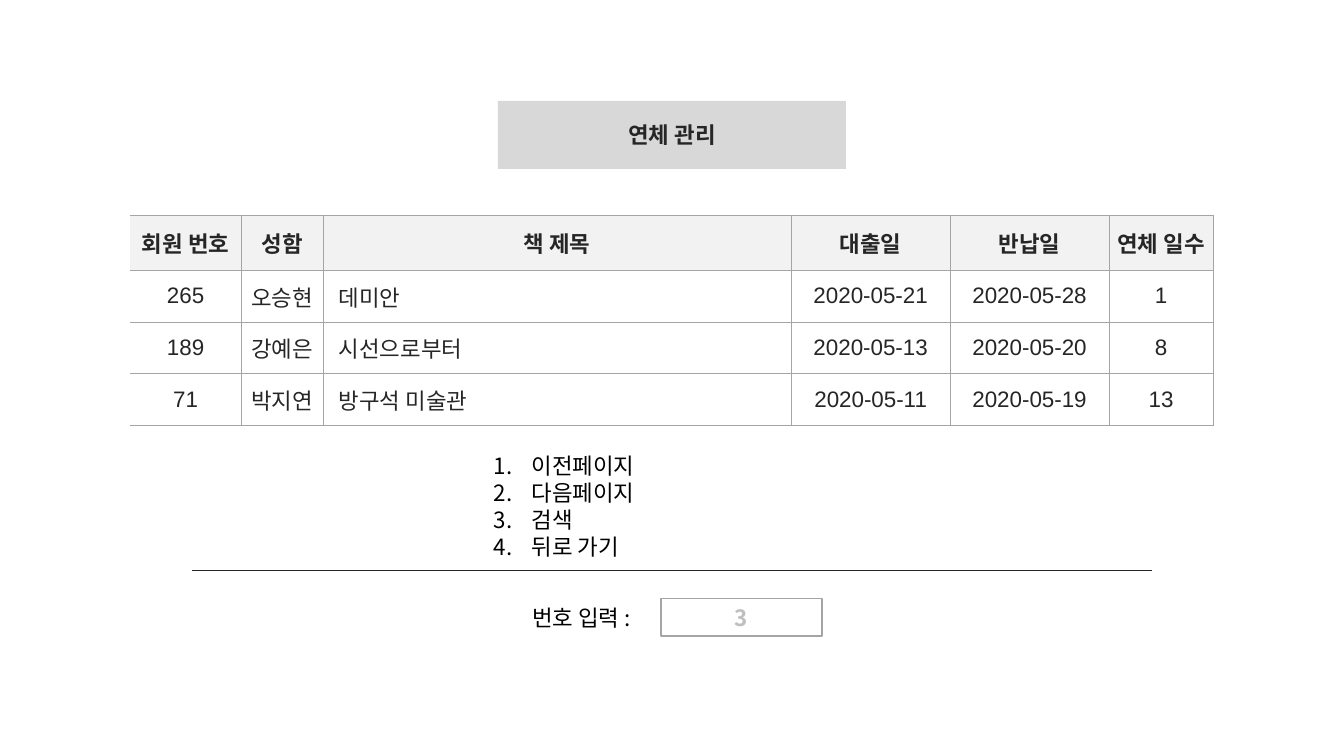
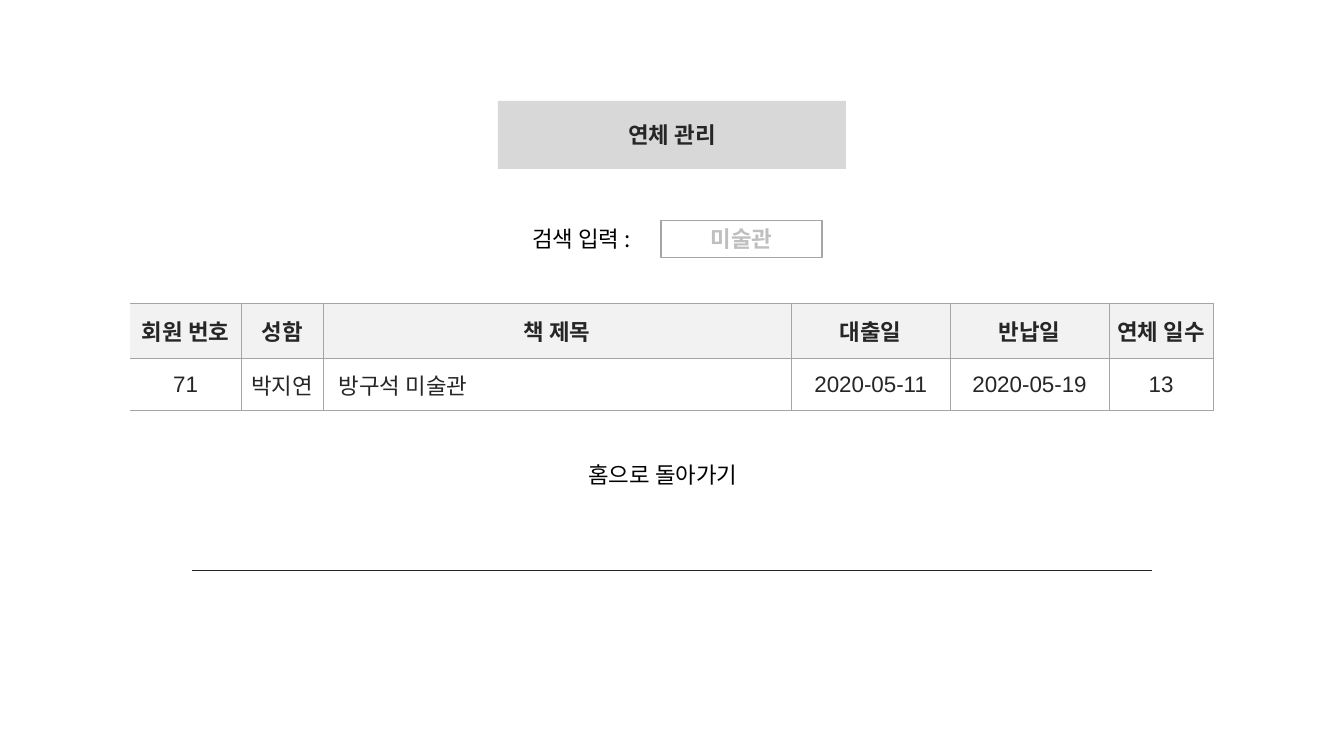
from typing import NamedTuple

from lxml.etree import SubElement
from pptx import Presentation
from pptx.dml.color import RGBColor
from pptx.enum.shapes import MSO_CONNECTOR as Connector, MSO_SHAPE as Preset
from pptx.enum.text import MSO_ANCHOR as Anchor, MSO_AUTO_SIZE as AutoSize, PP_ALIGN as Align
from pptx.oxml.ns import qn
from pptx.util import Pt

# Shared look
BLACK = RGBColor(0x00, 0x00, 0x00)
INK = RGBColor(0x26, 0x26, 0x26)
BORDER = RGBColor(0xA5, 0xA5, 0xA5)
HINT = RGBColor(0xBF, 0xBF, 0xBF)
BAND = RGBColor(0xD8, 0xD8, 0xD8)
HEADER = RGBColor(0xF2, 0xF2, 0xF2)
WHITE = RGBColor(0xFF, 0xFF, 0xFF)
TEXT_FONT, TABLE_FONT = "Noto Sans CJK KR", "Arial"
TEXT_SIZE = 16
PLAIN_TABLE_STYLE = "{2D5ABB26-0587-4C30-8999-92F81FD0307C}"
CONTENT_LAYOUT, TITLE_LAYOUT = 1, 5
LIST_INDENT = 27


class Box(NamedTuple):
    left: float
    top: float
    width: float
    height: float


class Column(NamedTuple):
    heading: str
    width: float
    align: Align = Align.CENTER
    inset: float = 0


class Loan(NamedTuple):
    member: str
    name: str
    book: str
    lent: str
    due: str
    overdue: str


SLIDE_WIDTH, SLIDE_HEIGHT = 960, 540
TITLE_BOX = Box(355.7, 72, 248.6, 48.6)
RULE_LEFT, RULE_TOP = 137.2, 407.4
TABLE_LEFT, HEADER_HEIGHT, ROW_HEIGHT = 92.9, 39.6, 36.8
FIELD_HEIGHT = 26.7

COLUMNS = (
    Column("회원 번호", 79.4),
    Column("성함", 58.5),
    Column("책 제목", 334.4, Align.LEFT, 11.3),
    Column("대출일", 113.5),
    Column("반납일", 113.5),
    Column("연체 일수", 74.5),
)
LOANS = (
    Loan("265", "오승현", "데미안", "2020-05-21", "2020-05-28", "1"),
    Loan("189", "강예은", "시선으로부터", "2020-05-13", "2020-05-20", "8"),
    Loan("71", "박지연", "방구석 미술관", "2020-05-11", "2020-05-19", "13"),
)
MENU = ("이전페이지", "다음페이지", "검색", "뒤로 가기")


def write(paragraph, text: str, *, color: RGBColor = BLACK, font: str = TEXT_FONT,
          bold: bool = False, align: Align = Align.LEFT) -> None:
    paragraph.alignment = align
    run = paragraph.add_run()
    run.text = text
    run.font.name, run.font.size = font, Pt(TEXT_SIZE)
    run.font.bold, run.font.color.rgb = bold, color
    if font == TEXT_FONT:
        SubElement(run.font._element, qn("a:ea"), typeface=font)


def place(shape, box: Box) -> None:
    shape.left, shape.top, shape.width, shape.height = map(Pt, box)


def paint(shape, color: RGBColor) -> None:
    shape.fill.solid()
    shape.fill.fore_color.rgb = color


def add_label(shapes, box: Box, text: str) -> None:
    label = shapes.add_textbox(*map(Pt, box))
    label.text_frame.word_wrap = True
    write(label.text_frame.paragraphs[0], text)


def add_field(slide, top: float, label: str, value: str) -> None:
    """A label with its entry box, grouped."""
    group = slide.shapes.add_group_shape()
    add_label(group.shapes, Box(373, top, 100, FIELD_HEIGHT), label)
    entry = group.shapes.add_shape(
        Preset.RECTANGLE, *map(Pt, Box(472.3, top, 114.8, FIELD_HEIGHT)))
    entry.shadow.inherit = False
    paint(entry, WHITE)
    entry.line.color.rgb, entry.line.width = BORDER, Pt(1)
    entry.text_frame.vertical_anchor = Anchor.MIDDLE
    write(entry.text_frame.paragraphs[0], value, color=HINT, bold=True, align=Align.CENTER)


def add_borders(cell, sides: tuple[str, ...]) -> None:
    properties = cell._tc.get_or_add_tcPr()
    for position, side in enumerate(sides):
        line = SubElement(properties, qn(f"a:{side}"), w=str(Pt(0.75)))
        fill = SubElement(line, qn("a:solidFill"))
        SubElement(fill, qn("a:srgbClr"), val=str(BORDER))
        properties.remove(line)
        properties.insert(position, line)  # borders come before the fill


def add_loan_table(slide, top: float, loans: tuple[Loan, ...]) -> None:
    rows = (tuple(column.heading for column in COLUMNS), *loans)
    width = sum(column.width for column in COLUMNS)
    height = HEADER_HEIGHT + ROW_HEIGHT * len(loans)
    table = slide.shapes.add_table(
        len(rows), len(COLUMNS), *map(Pt, Box(TABLE_LEFT, top, width, height))).table
    table.horz_banding = False
    table._tbl.tblPr.find(qn("a:tableStyleId")).text = PLAIN_TABLE_STYLE
    for index, column in enumerate(COLUMNS):
        table.columns[index].width = Pt(column.width)
    for row_index, values in enumerate(rows):
        heading = row_index == 0
        table.rows[row_index].height = Pt(HEADER_HEIGHT if heading else ROW_HEIGHT)
        for column_index, (column, text) in enumerate(zip(COLUMNS, values)):
            cell = table.cell(row_index, column_index)
            cell.margin_top = cell.margin_right = cell.margin_bottom = 0
            cell.margin_left = Pt(0 if heading else column.inset)
            cell.vertical_anchor = Anchor.MIDDLE
            paint(cell, HEADER if heading else WHITE)
            # The outer left edge stays open
            add_borders(cell, (("lnL",) if column_index else ()) + ("lnR", "lnT", "lnB"))
            write(cell.text_frame.paragraphs[0], text, color=INK, font=TABLE_FONT,
                  bold=heading, align=Align.CENTER if heading else column.align)


def fill_menu(placeholder, box: Box, items: tuple[str, ...]) -> None:
    place(placeholder, box)
    frame = placeholder.text_frame
    frame.auto_size = AutoSize.NONE
    for index, item in enumerate(items):
        paragraph = frame.add_paragraph() if index else frame.paragraphs[0]
        paragraph.space_before = Pt(0)
        properties = paragraph._p.get_or_add_pPr()
        properties.set("marL", str(Pt(LIST_INDENT)))
        properties.set("indent", str(Pt(-LIST_INDENT)))
        color = SubElement(properties, qn("a:buClr"))
        SubElement(color, qn("a:srgbClr"), val=str(BLACK))
        SubElement(properties, qn("a:buFont"), typeface=TEXT_FONT)
        SubElement(properties, qn("a:buAutoNum"), type="arabicPeriod")
        write(paragraph, item)


def add_overdue_slide(presentation, layout: int):
    """A slide with the title band and the rule."""
    slide = presentation.slides.add_slide(presentation.slide_layouts[layout])
    title = slide.shapes.title
    place(title, TITLE_BOX)
    paint(title, BAND)
    title.text_frame.auto_size = AutoSize.NONE
    title.text_frame.vertical_anchor = Anchor.MIDDLE
    write(title.text_frame.paragraphs[0], "연체 관리", color=INK, bold=True, align=Align.CENTER)
    rule = slide.shapes.add_connector(
        Connector.STRAIGHT, Pt(RULE_LEFT), Pt(RULE_TOP), Pt(SLIDE_WIDTH - RULE_LEFT), Pt(RULE_TOP))
    rule.line.color.rgb, rule.line.width = INK, Pt(0.75)
    SubElement(rule._element.spPr, qn("a:effectLst"))
    return slide


def main() -> None:
    presentation = Presentation()
    presentation.slide_width, presentation.slide_height = Pt(SLIDE_WIDTH), Pt(SLIDE_HEIGHT)

    # Overdue list with its menu
    slide = add_overdue_slide(presentation, CONTENT_LAYOUT)
    add_loan_table(slide, 153.6, LOANS)
    fill_menu(slide.placeholders[1], Box(345.6, 319.7, 122.4, 85), MENU)
    add_field(slide, 427.7, "번호 입력 :", "3")

    # Search result
    slide = add_overdue_slide(presentation, TITLE_LAYOUT)
    add_field(slide, 157.4, "검색 입력 :", "미술관")
    add_loan_table(slide, 216.7, LOANS[-1:])
    add_label(slide.shapes, Box(413.2, 326.2, 133.2, FIELD_HEIGHT), "홈으로 돌아가기")

    presentation.save("out.pptx")


if __name__ == "__main__":
    main()
